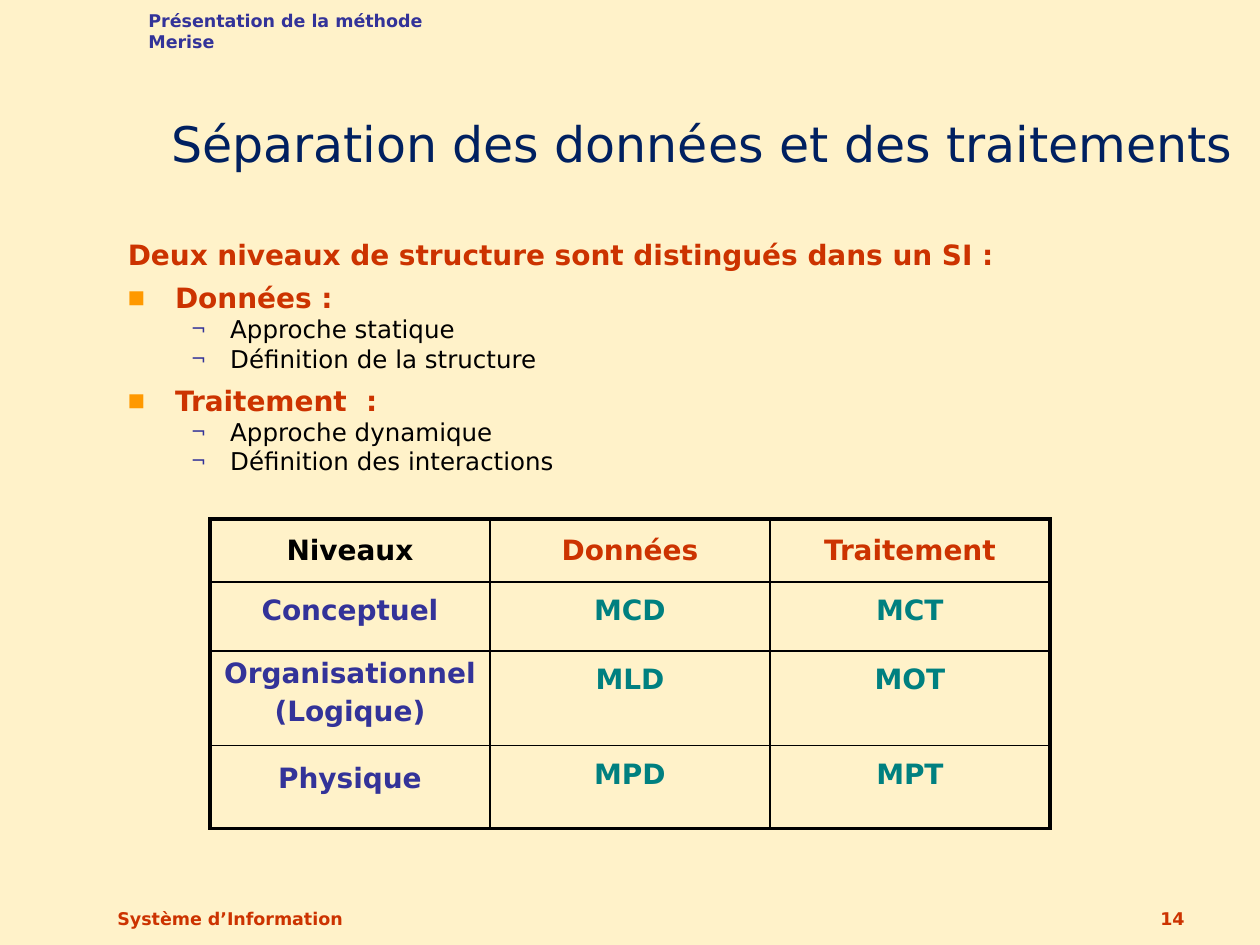
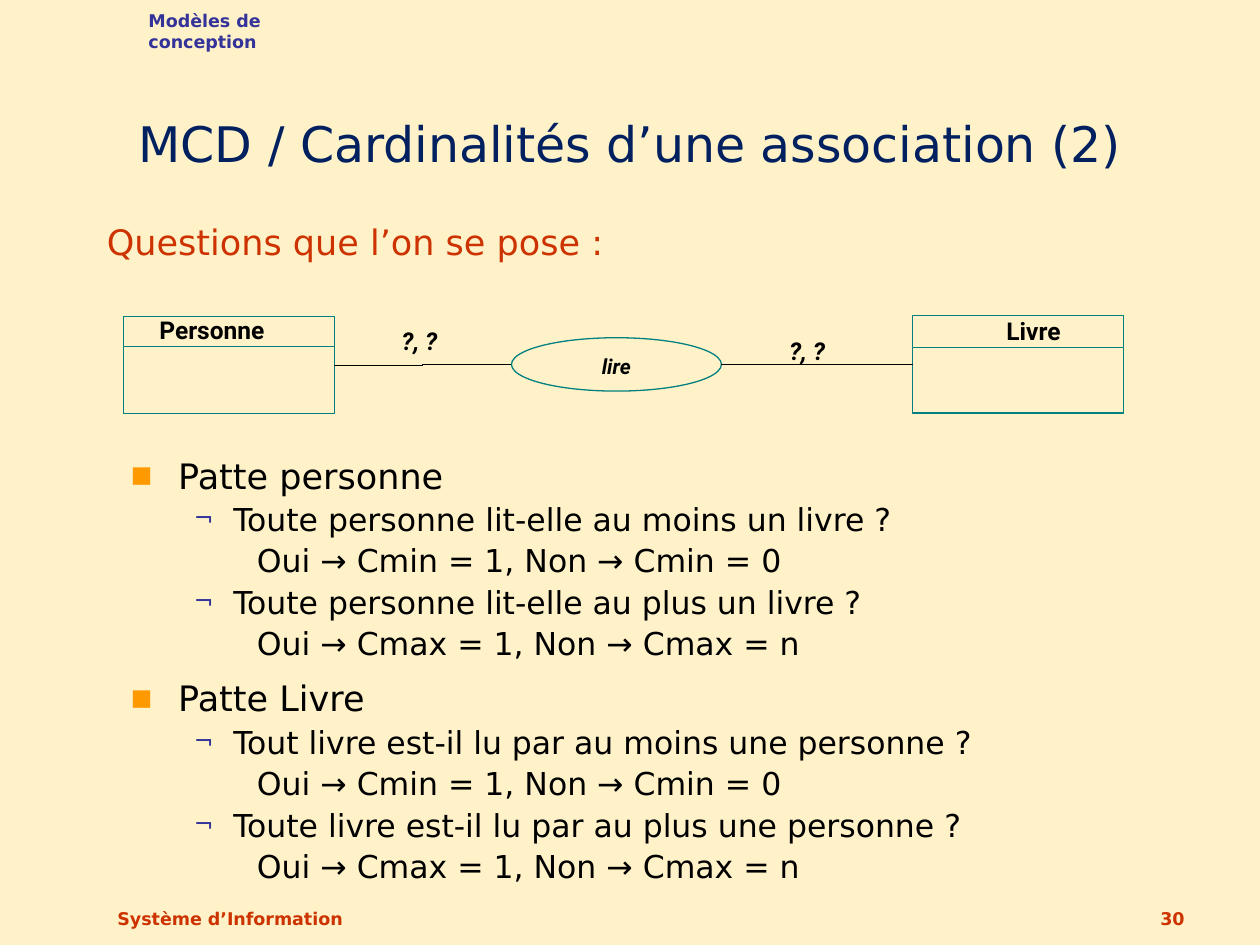
from dataclasses import dataclass

from lxml import etree
from pptx import Presentation
from pptx.dml.color import RGBColor
from pptx.enum.shapes import MSO_CONNECTOR, MSO_SHAPE
from pptx.enum.text import MSO_ANCHOR, PP_ALIGN
from pptx.oxml.ns import qn
from pptx.util import Pt

LEFT, MID, RIGHT = PP_ALIGN.LEFT, PP_ALIGN.CENTER, PP_ALIGN.RIGHT
TOP, CORE, BASE = MSO_ANCHOR.TOP, MSO_ANCHOR.MIDDLE, MSO_ANCHOR.BOTTOM
RECT, OVAL = MSO_SHAPE.RECTANGLE, MSO_SHAPE.OVAL
LINE, ELBOW = MSO_CONNECTOR.STRAIGHT, MSO_CONNECTOR.ELBOW

COLORS = {
    "page": "FFF2C9",
    "title": "002060",
    "red": "CC3300",
    "blue": "333399",
    "teal": "008080",
    "gold": "FF9900",
    "black": "000000",
}
SANS, LABEL = "DejaVu Sans", "Roboto"
# Left margin and first line indent of each outline level
INDENTS = [(27, -27), (58.5, -22.5), (90, -18)]


@dataclass(frozen=True)
class Mark:
    char: str
    color: str
    size: int


SQUARE = Mark("■", "gold", 65)
HOOK = Mark("¬", "blue", 75)


@dataclass(frozen=True)
class Para:
    text: str
    size: float
    color: str = "black"
    bold: bool = False
    slant: bool = False
    font: str = SANS
    align: PP_ALIGN = LEFT
    space: float = 1.0
    before: float = 0
    level: int | None = None
    mark: Mark | None = None


@dataclass(frozen=True)
class Box:
    left: float
    top: float
    width: float
    height: float

    @property
    def right(self) -> float:
        return self.left + self.width

    @property
    def middle(self) -> float:
        return self.top + self.height / 2

    def points(self) -> list:
        return [Pt(v) for v in (self.left, self.top, self.width, self.height)]


@dataclass(frozen=True)
class Entity:
    name: str
    box: Box
    label: Box
    rule: float


def paint(name: str) -> RGBColor:
    return RGBColor.from_string(COLORS[name])


def add_mark(para, mark: Mark) -> None:
    props = para._p.get_or_add_pPr()
    color = etree.SubElement(props, qn("a:buClr"))
    etree.SubElement(color, qn("a:srgbClr"), val=COLORS[mark.color])
    etree.SubElement(props, qn("a:buSzPct"), val=str(mark.size * 1000))
    etree.SubElement(props, qn("a:buFont"), typeface=SANS)
    etree.SubElement(props, qn("a:buChar"), char=mark.char)


def write(frame, paras: list[Para], anchor: MSO_ANCHOR = TOP) -> None:
    frame.word_wrap = True
    frame.vertical_anchor = anchor
    for i, item in enumerate(paras):
        para = frame.add_paragraph() if i else frame.paragraphs[0]
        if item.mark:
            add_mark(para, item.mark)
        if item.level is not None:
            para.level = item.level
            margin, indent = INDENTS[item.level]
            props = para._p.get_or_add_pPr()
            props.set("marL", str(Pt(margin)))
            props.set("indent", str(Pt(indent)))
        para.alignment = item.align
        para.line_spacing = item.space
        para.space_before = Pt(item.before)
        run = para.add_run()
        run.text = item.text
        font = run.font
        font.name, font.size = item.font, Pt(item.size)
        font.bold, font.italic = item.bold, item.slant
        font.color.rgb = paint(item.color)


def add_text(slide, box: Box, *paras: Para, anchor: MSO_ANCHOR = TOP) -> None:
    write(slide.shapes.add_textbox(*box.points()).text_frame, list(paras), anchor)


def add_frame(slide, kind: MSO_SHAPE, box: Box):
    """Draw an unfilled shape with a teal outline."""
    shape = slide.shapes.add_shape(kind, *box.points())
    shape.shadow.inherit = False
    shape.fill.background()
    shape.line.color.rgb = paint("teal")
    shape.line.width = Pt(0.75)
    return shape


def add_link(slide, kind: MSO_CONNECTOR, start: tuple, end: tuple, color: str):
    link = slide.shapes.add_connector(kind, *(Pt(v) for v in (*start, *end)))
    link.line.color.rgb = paint(color)
    link.line.width = Pt(0.75)
    etree.SubElement(link._element.spPr, qn("a:effectLst"))
    return link


def add_page(deck, topic: str, title: str, number: int, head: Box, tag: float):
    """Add a slide with its topic, title and footer; tag is the topic width."""
    slide = deck.slides.add_slide(deck.slide_layouts[6])
    fill = slide.background.fill
    fill.solid()
    fill.fore_color.rgb = paint("page")
    add_text(slide, Box(60, 498.25, 228, 36),
             Para("Système d’Information", 10, "red", True), anchor=BASE)
    add_text(slide, Box(534, 498.25, 150, 36),
             Para(str(number), 10, "red", True, align=RIGHT), anchor=BASE)
    add_text(slide, head, Para(title, 28, "title"), anchor=BASE)
    add_text(slide, Box(77.75, 2, tag, 19.5), Para(topic, 10, "blue", True))
    return slide


def add_edges(cell, row: int, col: int, rows: int, cols: int) -> None:
    """Give a cell thick lines on the rim of the table and thin ones inside."""
    props = cell._tc.get_or_add_tcPr()
    rims = {"L": col == 0, "R": col == cols - 1, "T": row == 0, "B": row == rows - 1}
    for i, (side, rim) in enumerate(rims.items()):
        edge = etree.Element(qn(f"a:ln{side}"), w=str(Pt(2.25 if rim else 1)))
        fill = etree.SubElement(edge, qn("a:solidFill"))
        etree.SubElement(fill, qn("a:srgbClr"), val=COLORS["black"])
        props.insert(i, edge)


def add_grid(slide, box: Box, heights: list[float], cells: list) -> None:
    rows, cols = len(cells), len(cells[0])
    table = slide.shapes.add_table(rows, cols, *box.points()).table
    table.first_row = table.horz_banding = False
    for col in table.columns:
        col.width = Pt(box.width / cols)
    for r, height in enumerate(heights):
        table.rows[r].height = Pt(height)
        for c, paras in enumerate(cells[r]):
            cell = table.cell(r, c)
            cell.fill.background()
            write(cell.text_frame, paras)
            cell.vertical_anchor = TOP
            add_edges(cell, r, c, rows, cols)


def head_cell(text: str, color: str) -> list[Para]:
    return [Para(text, 16, color, True, align=MID, space=1.3)]


def level_cell(space: float, *texts: str) -> list[Para]:
    return [Para(text, 16, "blue", True, align=MID, space=space,
                 before=3.2 if i else 0) for i, text in enumerate(texts)]


def model_cell(text: str) -> list[Para]:
    return [Para(text, 16, "teal", True, align=MID, space=1.2)]


def split_page(deck) -> None:
    slide = add_page(deck, "Présentation de la méthode Merise",
                     "Séparation des données et des traitements", 14,
                     Box(90.75, 12, 629.25, 90), 209.5)
    paras = [Para("Deux niveaux de structure sont distingués dans un SI :",
                  16, "red", True, level=0)]
    for name, points in (
        ("Données :", ("Approche statique", "Définition de la structure")),
        ("Traitement  :", ("Approche dynamique", "Définition des interactions")),
    ):
        paras.append(Para(name, 16, "red", True, space=1.3, level=0, mark=SQUARE))
        paras += [Para(text, 14, level=1, mark=HOOK) for text in points]
    add_text(slide, Box(66, 132, 606, 162), *paras)

    cells = [[head_cell("Niveaux", "black"), head_cell("Données", "red"),
              head_cell("Traitement", "red")]]
    for level, *models in (
        (level_cell(1.2, "Conceptuel"), "MCD", "MCT"),
        (level_cell(1.0, "Organisationnel", "(Logique)"), "MLD", "MOT"),
        (level_cell(1.35, "Physique"), "MPD", "MPT"),
    ):
        cells.append([level, *map(model_cell, models)])
    add_grid(slide, Box(120, 296.5, 480, 177), [36, 39.5, 54, 47.5], cells)


def add_entity(slide, item: Entity):
    frame = add_frame(slide, RECT, item.box)
    add_link(slide, LINE, (item.box.left, item.rule), (item.box.right, item.rule), "teal")
    add_text(slide, item.label, Para(item.name, 14, bold=True, font=LABEL, space=1.1))
    return frame


def card_page(deck) -> None:
    slide = add_page(deck, "Modèles de conception",
                     "MCD / Cardinalités d’une association (2)", 30,
                     Box(72, 12, 671, 90), 142)
    add_text(slide, Box(54, 120, 636, 43),
             Para("Questions que l’on se pose :", 20, "red", space=1.1, level=0))

    reader = Entity("Personne", Box(70.5, 181, 120.5, 55.5), Box(84, 175, 81, 26), 198)
    book = Entity("Livre", Box(521.5, 180.5, 120.5, 55.5), Box(568, 175.5, 50, 26), 198.5)
    add_entity(slide, reader)
    target = add_entity(slide, book)
    verb = Box(292.25, 193, 120, 30.5)
    oval = add_frame(slide, OVAL, verb)
    write(oval.text_frame, [Para("lire", 12, bold=True, slant=True, font=LABEL,
                                 align=MID, space=1.1)], CORE)
    add_link(slide, ELBOW, (verb.left, verb.middle),
             (reader.box.right, reader.box.middle), "black")
    link = add_link(slide, LINE, (verb.right, verb.middle),
                    (book.box.left, book.box.middle), "black")
    link.end_connect(target, 1)
    for left, top in ((222.5, 183), (444, 188.5)):
        add_text(slide, Box(left, top, 39, 24),
                 Para("?, ?", 14, bold=True, slant=True, font=LABEL))

    answers = ("Oui → Cmin = 1, Non → Cmin = 0", "Oui → Cmax = 1, Non → Cmax = n")
    paras = []
    for name, asks in (
        ("Patte personne", ("Toute personne lit-elle au moins un livre ?",
                            "Toute personne lit-elle au plus un livre ?")),
        ("Patte Livre", ("Tout livre est-il lu par au moins une personne ?",
                         "Toute livre est-il lu par au plus une personne ?")),
    ):
        paras.append(Para(name, 20, space=1.1, before=6 if paras else 0,
                          level=0, mark=SQUARE))
        for ask, answer in zip(asks, answers):
            paras.append(Para(ask, 18, space=1.1, level=1, mark=HOOK))
            paras.append(Para(answer, 18, space=1.1, level=2))
    add_text(slide, Box(67.75, 253.5, 636, 306), *paras)


def main() -> None:
    deck = Presentation()
    deck.slide_width, deck.slide_height = Pt(720), Pt(540)
    split_page(deck)
    card_page(deck)
    deck.save("out.pptx")


if __name__ == "__main__":
    main()
